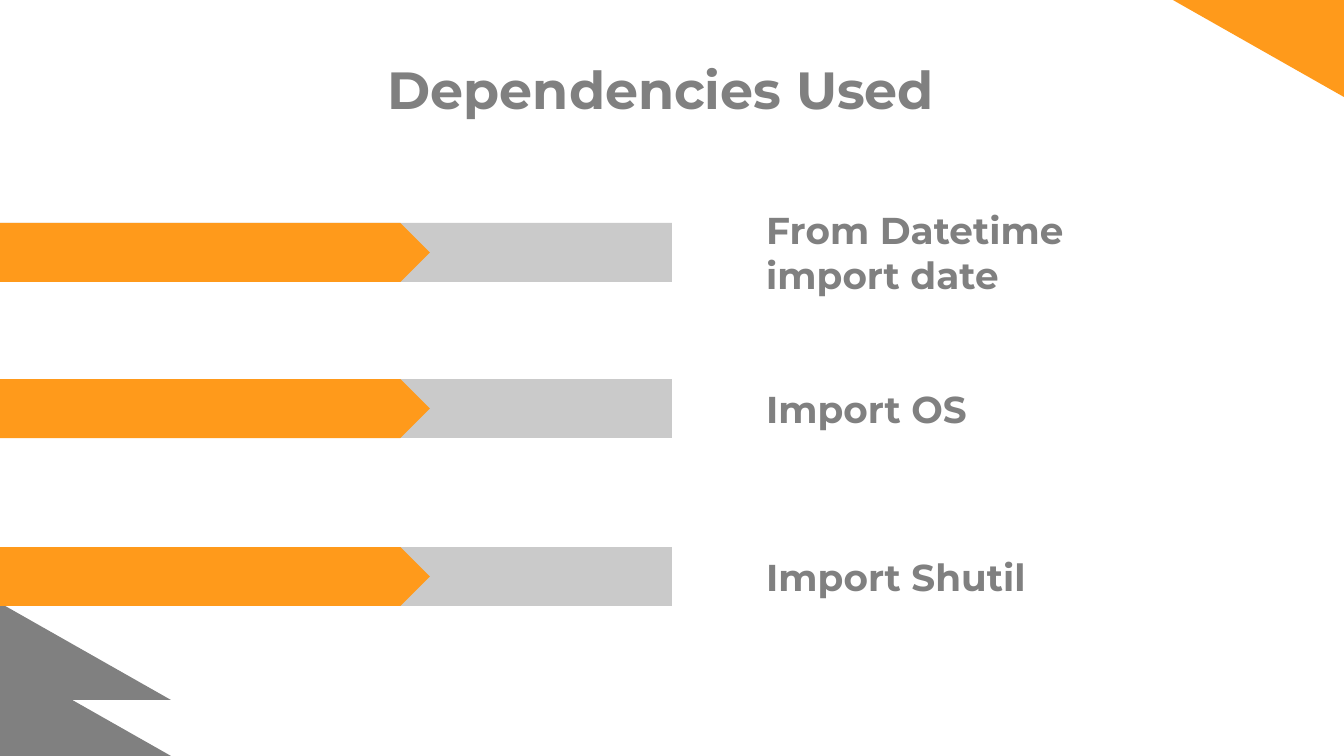
from pptx import Presentation
from pptx import util as u
from pptx.dml.color import RGBColor
from pptx.enum import shapes, text

PX = 914400 / 134.4
WIDTH, HEIGHT = 1344, 756
ORANGE, GREY, TRACK = "FF9A1B", "808080", "CACACA"


def paint(shape, color):
    """Give a shape a flat fill with no line or shadow."""
    shape.fill.solid()
    shape.fill.fore_color.rgb = RGBColor.from_string(color)
    shape.line.fill.background()
    shape.shadow.inherit = False


def write(box, words, left, top, width, height, size=20, align=text.PP_ALIGN.LEFT):
    box.left, box.top, box.width, box.height = (
        u.Emu(round(n * PX)) for n in (left, top, width, height))
    frame = box.text_frame
    frame.word_wrap = True
    frame.auto_size = text.MSO_AUTO_SIZE.NONE
    frame.vertical_anchor = text.MSO_ANCHOR.MIDDLE
    frame.margin_left = frame.margin_right = u.Inches(0.1)
    frame.margin_top = frame.margin_bottom = u.Inches(0.1)
    para = frame.paragraphs[0]
    para.alignment = align
    para.line_spacing = 1.0
    span = para.add_run()
    span.text = words
    span.font.name = "Montserrat"
    span.font.size = u.Pt(size)
    span.font.bold = True
    span.font.color.rgb = RGBColor.from_string(GREY)


deck = Presentation()
deck.slide_width = u.Emu(round(WIDTH * PX))
deck.slide_height = u.Emu(round(HEIGHT * PX))
page = deck.slides.add_slide(deck.slide_layouts[5])

# Corner triangles
triangles = [
    ([(0, 659), (171, 756), (0, 756)], GREY),
    ([(0, 603), (171, 700), (0, 700)], GREY),
    ([(1344, 97), (1173, 0), (1344, 0)], ORANGE),
]
for points, color in triangles:
    outline = page.shapes.build_freeform(*points[0], scale=PX)
    outline.add_line_segments(points[1:], close=True)
    paint(outline.convert_to_shape(), color)

write(page.shapes.title, "Dependencies Used", 90, 55, 1142, 67,
      size=28, align=text.PP_ALIGN.CENTER)

# Bars, each with its label centred beside it
BAR_HEIGHT = 59
rows = [
    (223, "From Datetime import date", 406, 67),
    (379, "Import OS", 242, 54),
    (547, "Import Shutil", 306, 54),
]
for top, label, label_width, label_height in rows:
    for kind, width, color in (
            (shapes.MSO_SHAPE.RECTANGLE, 672, TRACK),
            (shapes.MSO_SHAPE.PENTAGON, 430, ORANGE)):
        bar = page.shapes.add_shape(
            kind, 0, round(top * PX), round(width * PX), round(BAR_HEIGHT * PX))
        paint(bar, color)
    label_top = top + (BAR_HEIGHT - label_height + 1) // 2
    write(page.shapes.add_textbox(0, 0, 0, 0), label,
          753, label_top, label_width, label_height)

deck.save("out.pptx")
